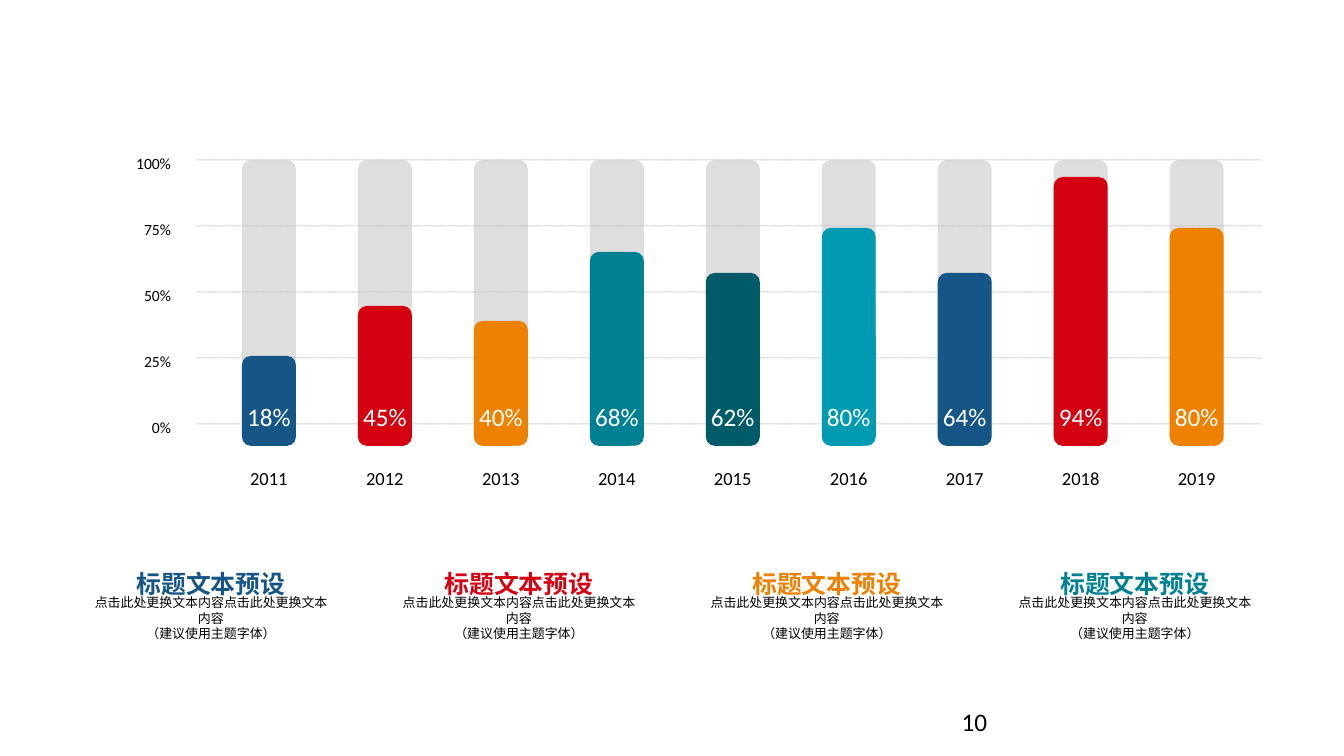
from dataclasses import dataclass

from lxml import etree
from pptx import Presentation
from pptx import util as u
from pptx.dml.color import RGBColor
from pptx.enum import dml, shapes, text
from pptx.oxml.ns import qn


@dataclass(frozen=True)
class Theme:
    font: str = "Calibri"
    black: str = "000000"
    white: str = "FFFFFF"
    gray: str = "BFBFBF"
    blue: str = "165687"
    red: str = "D50311"
    orange: str = "EE8100"
    teal: str = "008093"
    deep_teal: str = "005B69"
    cyan: str = "009BB3"
    value_size: float = 15
    year_size: float = 11
    scale_size: float = 9.3
    heading_size: float = 14.8
    body_size: float = 7.7


theme = Theme()
PX = 914400 // 121
LEFT, CENTER, RIGHT = text.PP_ALIGN.LEFT, text.PP_ALIGN.CENTER, text.PP_ALIGN.RIGHT


def write(shape, words, size, color, align=CENTER, inset=(12, 6), wrap=False, bold=False):
    """Fill a shape with one styled paragraph; inset is (horizontal, vertical) in px."""
    frame = shape.text_frame
    frame.text = words
    frame.word_wrap = wrap
    frame.margin_left = frame.margin_right = inset[0] * PX
    frame.margin_top = frame.margin_bottom = inset[1] * PX
    para = frame.paragraphs[0]
    para.alignment = align
    for span in para.runs:
        span.font.name = theme.font
        span.font.size = u.Pt(size)
        span.font.bold = bold
        span.font.color.rgb = RGBColor.from_string(color)


def set_alpha(shape, percent):
    """Make the first solid colour of a shape or line partly transparent."""
    color = shape.element.spPr.find(".//" + qn("a:srgbClr"))
    etree.SubElement(color, qn("a:alpha")).set("val", str(percent * 1000))


deck = Presentation()
deck.slide_width = u.Inches(11.11)
deck.slide_height = u.Inches(6.25)
page = deck.slides.add_slide(deck.slide_layouts[6])

page_number = page.shapes.add_textbox(950 * PX, 701 * PX, 303 * PX, 40 * PX)
write(page_number, "10", theme.value_size, theme.black, LEFT, wrap=True)

# Gridlines and scale
PLOT_TOP, GRID_STEP = 160, 66
SCALE_RIGHT = 183
scale = [("100%", 61), ("75%", 52), ("50%", 52), ("25%", 52), ("0%", 42)]
for row, (label, width) in enumerate(scale):
    y = PLOT_TOP + row * GRID_STEP
    gridline = page.shapes.add_connector(
        shapes.MSO_CONNECTOR.STRAIGHT, 197 * PX, y * PX, 1262 * PX, y * PX)
    gridline.line.width = u.Pt(0.5)
    gridline.line.color.rgb = RGBColor.from_string(theme.black)
    gridline.line.dash_style = dml.MSO_LINE.SQUARE_DOT
    set_alpha(gridline, 20)
    etree.SubElement(gridline.element.spPr, qn("a:effectLst"))
    scale_label = page.shapes.add_textbox(
        (SCALE_RIGHT - width) * PX, (y - 12) * PX, width * PX, 28 * PX)
    write(scale_label, label, theme.scale_size, theme.black, RIGHT)
    scale_label.text_frame.margin_left = 0

# Yearly bars: value label, bar height in px, colour
BAR_LEFT, BAR_STEP, BAR_WIDTH, TRACK_HEIGHT = 242, 116, 54, 286
bars = [
    ("18%", 90, theme.blue),
    ("45%", 140, theme.red),
    ("40%", 125, theme.orange),
    ("68%", 194, theme.teal),
    ("62%", 173, theme.deep_teal),
    ("80%", 218, theme.cyan),
    ("64%", 173, theme.blue),
    ("94%", 269, theme.red),
    ("80%", 218, theme.orange),
]
for column, (value, bar_height, bar_color) in enumerate(bars):
    x = BAR_LEFT + column * BAR_STEP
    for height, color in ((TRACK_HEIGHT, theme.gray), (bar_height, bar_color)):
        bar = page.shapes.add_shape(
            shapes.MSO_SHAPE.ROUNDED_RECTANGLE, x * PX,
            (PLOT_TOP + TRACK_HEIGHT - height) * PX, BAR_WIDTH * PX, height * PX)
        bar.shadow.inherit = False
        bar.fill.solid()
        bar.fill.fore_color.rgb = RGBColor.from_string(color)
        bar.line.fill.background()
        if color == theme.gray:
            set_alpha(bar, 50)
    write(bar, value, theme.value_size, theme.white, inset=(12, 12))
    bar.text_frame.vertical_anchor = text.MSO_ANCHOR.BOTTOM
    year = page.shapes.add_textbox(x * PX, 461 * PX, BAR_WIDTH * PX, 35 * PX)
    write(year, str(2011 + column), theme.year_size, theme.black, inset=(0, 6))

# Captions
CAPTION_LEFT, CAPTION_STEP, CAPTION_WIDTH = 90, 308, 242
for column, color in enumerate((theme.blue, theme.red, theme.orange, theme.teal)):
    x = CAPTION_LEFT + column * CAPTION_STEP
    body = page.shapes.add_textbox(x * PX, 595 * PX, CAPTION_WIDTH * PX, 53 * PX)
    write(body, "点击此处更换文本内容点击此处更换文本内容\v（建议使用主题字体）",
          theme.body_size, theme.black, inset=(0, 0), wrap=True)
    heading = page.shapes.add_textbox(x * PX, 569 * PX, CAPTION_WIDTH * PX, 27 * PX)
    write(heading, "标题文本预设", theme.heading_size, color, inset=(0, 0), bold=True)

deck.save("out.pptx")
